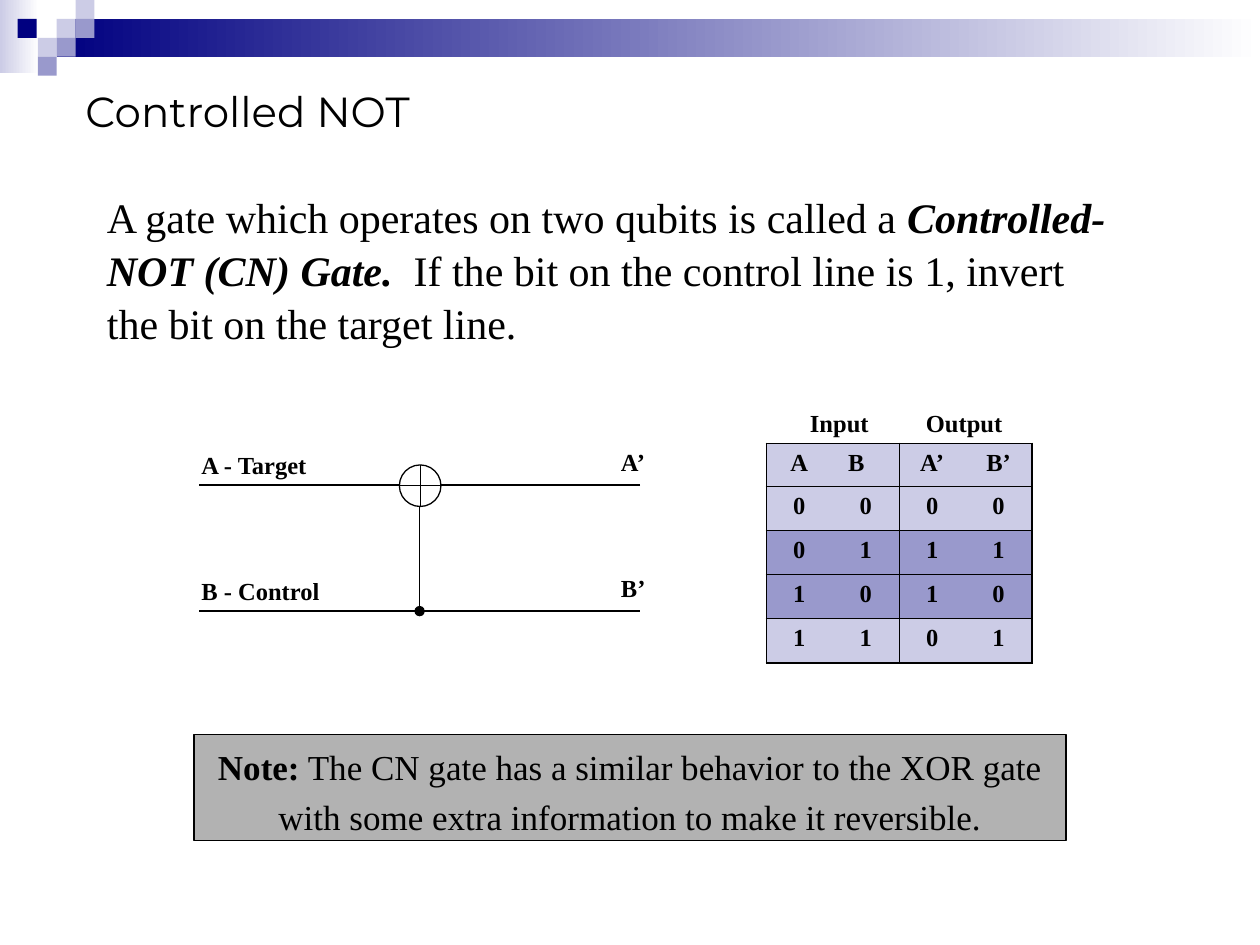
from lxml.etree import SubElement
from pptx import Presentation
from pptx.dml.color import RGBColor
from pptx.enum.shapes import MSO_CONNECTOR, MSO_SHAPE
from pptx.enum.text import MSO_ANCHOR, PP_ALIGN
from pptx.oxml.ns import qn
from pptx.util import Inches, Pt


class Theme:
    black, navy, white = "000000", "000080", "FFFFFF"
    pale, mid, grey = "CCCCE6", "9999CC", "B2B2B2"
    head, serif = "Montserrat", "Times New Roman"
    big, note, small = 24, 20, 14
    line, thin, thick = 0.75, 0.45, 1.08


# Content: runs are (text, style), style holding "b" and "i"
TITLE = [("Controlled NOT", "")]
BODY = [
    ("A gate which operates on two qubits is called a ", ""),
    ("Controlled-NOT (CN) Gate.  ", "bi"),
    ("If the bit on the control line is 1, invert the bit on the target line.", ""),
]
NOTE = [
    ("Note:", "b"),
    (" The CN gate has a similar behavior to the XOR gate "
     "with some extra information to make it reversible.", ""),
]
LABELS = [  # text, left, top, width
    ("A - Target", 1.5, 3.52, 1.25),
    ("B - Control", 1.5, 4.52, 1.17),
    ("A’", 4.83, 3.5, 0.52),
    ("B’", 4.83, 4.5, 0.52),
    ("Input", 6.33, 3.19, 0.73),
    ("Output", 7.25, 3.19, 0.92),
]
TRUTH = [
    ("A", "B", "A’", "B’"),
    ("0", "0", "0", "0"),
    ("0", "1", "1", "1"),
    ("1", "0", "1", "0"),
    ("1", "1", "0", "1"),
]
BANDS = [  # gradient bars: box, first colour
    ((0, 0, 0.31, 0.58), Theme.pale),
    ((0.45, 0.15, 9.55, 0.3), Theme.navy),
]
TILE = 0.15
TILES = [  # left, row, colour
    (0.45, 1, Theme.pale), (0.6, 0, Theme.pale), (0.6, 1, Theme.mid),
    (0.3, 2, Theme.pale), (0.14, 1, Theme.navy), (0.45, 2, Theme.mid),
    (0.3, 3, Theme.mid),
]
WIRES = [  # x1, y1, x2, y2, end
    (3.17, 3.85, 1.58, 3.85, None),
    (5.08, 3.85, 3.5, 3.85, None),
    (1.58, 4.85, 5.08, 4.85, None),
    (3.33, 4.02, 3.33, 4.85, "oval"),
]

deck = Presentation()
deck.slide_width, deck.slide_height = Inches(10), Inches(7.5)
slide = deck.slides.add_slide(deck.slide_layouts[6])
shapes = slide.shapes


def rgb(code):
    return RGBColor.from_string(code)


def inch(box):
    return [Inches(n) for n in box]


def write(frame, runs, size, font=Theme.serif, align=PP_ALIGN.LEFT, space=None):
    frame.word_wrap = True
    para = frame.paragraphs[0]
    para.alignment = align
    if space:
        para.line_spacing = space
    for text, style in runs:
        run = para.add_run()
        run.text = text
        face = run.font
        face.name, face.size = font, Pt(size)
        face.bold, face.italic = "b" in style, "i" in style
        face.color.rgb = rgb(Theme.black)


def label(box, runs, size, **extra):
    frame = shapes.add_textbox(*inch(box)).text_frame
    write(frame, runs, size, **extra)
    return frame


def draw(kind, box, fill=None, line=None):
    shape = shapes.add_shape(kind, *inch(box))
    shape.shadow.inherit = False
    if fill:
        shape.fill.solid()
        shape.fill.fore_color.rgb = rgb(fill)
    else:
        shape.fill.background()
    if line:
        shape.line.color.rgb = rgb(line)
        shape.line.width = Pt(Theme.line)
    else:
        shape.line.fill.background()
    return shape


def wire(x1, y1, x2, y2, end):
    link = shapes.add_connector(MSO_CONNECTOR.STRAIGHT, *inch((x1, y1, x2, y2)))
    link.line.color.rgb = rgb(Theme.black)
    link.line.width = Pt(Theme.line)
    props = link._element.spPr
    if end:
        SubElement(props.find(qn("a:ln")), qn("a:tailEnd"), type=end)
    SubElement(props, qn("a:effectLst"))


def border(cell, sides):
    props = cell._tc.get_or_add_tcPr()
    for side in "LRTB":
        width = sides.get(side, 0)
        edge = SubElement(props, qn("a:ln" + side), w=str(int(Pt(width))))
        if width:
            paint = SubElement(edge, qn("a:solidFill"))
            SubElement(paint, qn("a:srgbClr"), val=Theme.black)
        else:
            SubElement(edge, qn("a:noFill"))


# Header bars and tiles
for box, first in BANDS:
    fill = draw(MSO_SHAPE.RECTANGLE, box).fill
    fill.gradient()
    fill.gradient_angle = 0
    for stop, code in zip(fill.gradient_stops, (first, Theme.white)):
        stop.color.rgb = rgb(code)
for left, row, code in TILES:
    draw(MSO_SHAPE.RECTANGLE, (left, row * TILE, TILE, TILE), code)

# Title and body
frame = label((0.58, 0.67, 9, 0.42), TITLE, Theme.big, font=Theme.head)
frame.vertical_anchor = MSO_ANCHOR.MIDDLE
label((0.75, 1.45, 8.28, 1.3), BODY, Theme.big, space=1.05)

# Gate circuit
draw(MSO_SHAPE.FLOWCHART_OR, (3.17, 3.69, 0.33, 0.33), line=Theme.black)
for parts in WIRES:
    wire(*parts)
for text, left, top, width in LABELS:
    label((left, top, width, 0.34), [(text, "b")], Theme.small)

# Truth table: rules between rows and around each pair of columns
last = len(TRUTH) - 1
table = shapes.add_table(5, 4, *inch((6.08, 3.52, 2.11, 1.74))).table
for col in table.columns:
    col.width = Inches(2.11 / 4)
for r, values in enumerate(TRUTH):
    table.rows[r].height = Inches(0.35 if r else 0.34)
    for c, text in enumerate(values):
        cell = table.cell(r, c)
        sides = {
            "T": Theme.thin if r else Theme.thick,
            "B": Theme.thick if r == last else Theme.thin,
        }
        if c % 2:
            sides["R"] = Theme.thick if c == 3 else Theme.thin
        else:
            sides["L"] = Theme.thin
        border(cell, sides)
        cell.fill.solid()
        cell.fill.fore_color.rgb = rgb(Theme.mid if r in (2, 3) else Theme.pale)
        write(cell.text_frame, [(text, "b")], Theme.small, align=PP_ALIGN.CENTER)
table.cell(0, 1).margin_right = Inches(0.25)

# Note
box = draw(MSO_SHAPE.RECTANGLE, (1.54, 5.83, 6.92, 0.84), Theme.grey, Theme.black)
box.text_frame.vertical_anchor = MSO_ANCHOR.MIDDLE
write(box.text_frame, NOTE, Theme.note, align=PP_ALIGN.CENTER, space=1.2)

deck.save("out.pptx")
